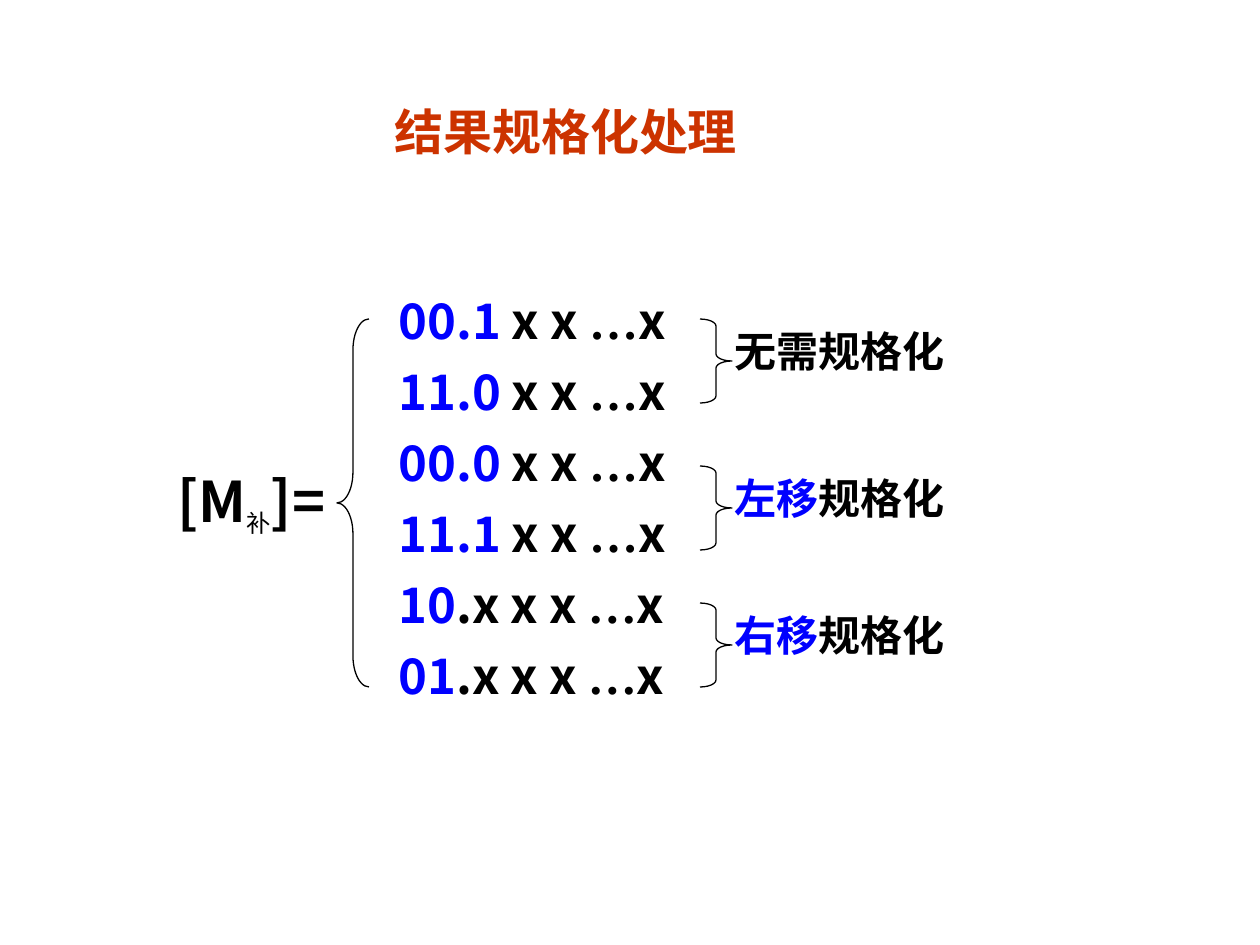
"""Build the slide on normalising a two's complement result."""
from lxml.etree import SubElement
from pptx import Presentation
from pptx.dml.color import RGBColor as RGB
from pptx.enum.shapes import MSO_SHAPE as SHAPE
from pptx.enum.text import MSO_ANCHOR as ANCHOR, PP_ALIGN as ALIGN
from pptx.oxml.ns import qn
from pptx.util import Pt

INK = {"black": "000000", "blue": "0000FF", "red": "CC3300"}
SANS, SERIF = "Noto Sans CJK SC", "Times New Roman"
SCALE = 914400 / 126


def emu(*px):
    return [round(n * SCALE) for n in px]


def write(box, lines, size=24, font=SANS, ink="black", align=ALIGN.LEFT, gap=0):
    frame = slide.shapes.add_textbox(*emu(*box)).text_frame
    frame.word_wrap = False
    frame.vertical_anchor = ANCHOR.MIDDLE
    for i, line in enumerate(lines):
        para = frame.add_paragraph() if i else frame.paragraphs[0]
        para.alignment = align
        para.space_before = Pt(gap if i else 0)
        for text, form in line:
            run = para.add_run()
            run.text = text
            face = run.font
            face.size = Pt(form.get("size", size))
            face.bold = form.get("bold", True)
            face.color.rgb = RGB.from_string(INK[form.get("ink", ink)])
            face.name = form.get("font", font)
            props = run._r.get_or_add_rPr()
            east = form.get("east", SANS)
            SubElement(props, qn("a:ea")).set("typeface", east)
            if "base" in form:
                props.set("baseline", str(form["base"]))


deck = Presentation()
deck.slide_width, deck.slide_height = emu(1260, 945)
slide = deck.slides.add_slide(deck.slide_layouts[6])
blue = {"ink": "blue"}

write((382, 95, 370, 72), [[("结果规格化处理", {})]],
      size=28, font=SERIF, ink="red")

sub = {"size": 24, "font": SERIF, "bold": False, "base": -25000}
write((152, 460, 199, 84), [[("[M", {}), ("补", sub), ("]=", {})]],
      size=32, align=ALIGN.CENTER)

codes = [("00.1 ", "x x "), ("11.0 ", "x x "), ("00.0 ", "x x "),
         ("11.1 ", "x x "), ("10", ".x x x "), ("01", ".x x x ")]
dots = {"font": SERIF, "east": SERIF}
rows = [[(head, blue), (tail, {}), ("…", dots), ("x", {})]
        for head, tail in codes]
write((386, 284, 299, 427), rows, size=28, gap=7)

braces = [(SHAPE.LEFT_BRACE, 337, 319, 368, 0.97)]
for top, move, rest in [(319, "", "无需规格化"), (466, "左移", "规格化"),
                        (603, "右移", "规格化")]:
    braces.append((SHAPE.RIGHT_BRACE, 700, top, 84, 0.22))
    line = [(move, blue)] if move else []
    write((722, top, 240, 63), [line + [(rest, {})]])

for kind, left, top, high, bend in braces:
    brace = slide.shapes.add_shape(kind, *emu(left, top, 32, high))
    brace.adjustments[0] = bend
    brace.shadow.inherit = False
    brace.fill.background()
    brace.line.color.rgb = RGB.from_string(INK["black"])
    brace.line.width = Pt(0.75)

deck.save("out.pptx")
